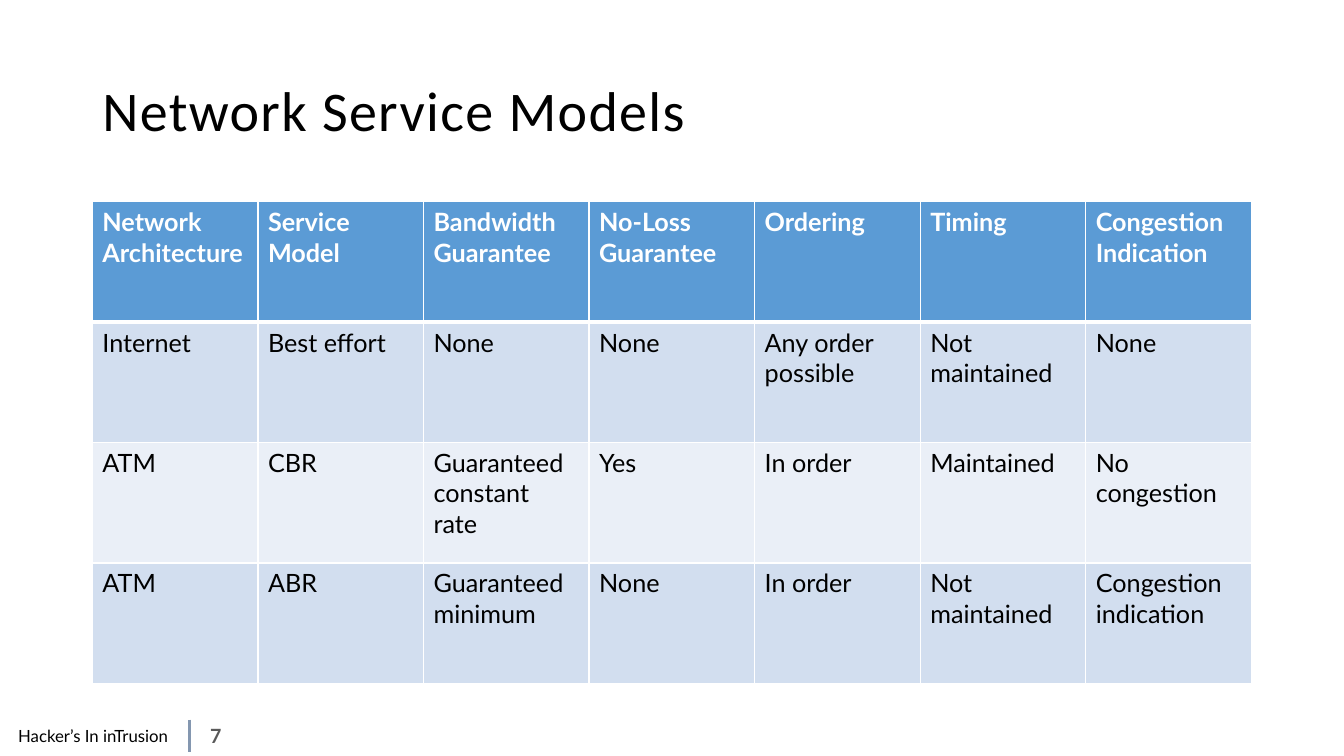
from lxml.etree import SubElement
from pptx import Presentation
from pptx.dml.color import RGBColor
from pptx.enum.shapes import MSO_CONNECTOR
from pptx.enum.text import MSO_ANCHOR, MSO_AUTO_SIZE, PP_ALIGN
from pptx.oxml.ns import qn
from pptx.util import Pt

TITLE = "Network Service Models"
ROWS = [
    ["Network\nArchitecture", "Service\nModel", "Bandwidth\nGuarantee",
     "No-Loss\nGuarantee", "Ordering", "Timing", "Congestion\nIndication"],
    ["Internet", "Best effort", "None", "None", "Any order\npossible",
     "Not\nmaintained", "None"],
    ["ATM", "CBR", "Guaranteed\nconstant rate", "Yes", "In order",
     "Maintained", "No congestion"],
    ["ATM", "ABR", "Guaranteed minimum", "None", "In order",
     "Not maintained", "Congestion indication"],
]
FOOTER = "Hacker’s In inTrusion"
PAGE = "7"

COLORS = {
    "text": "000000", "white": "FFFFFF", "header": "5B9BD5",
    "odd": "D2DEEF", "even": "EAEFF7", "page": "595959", "rule": "8497B0",
}
FORMATS = {
    "title": {"name": "Calibri", "size": Pt(40), "bold": False},
    "header": {"name": "Lato", "size": Pt(18), "bold": True},
    "body": {"name": "Lato", "size": Pt(18), "bold": False},
    "footer": {"name": "Lato", "size": Pt(12), "bold": False},
    "page": {"name": "Lato", "size": Pt(14), "bold": True},
}
LEFT, WIDTH = 66, 828
TITLE_TOP, TITLE_HEIGHT = 28.8, 104.4
TABLE_TOP, ROW_HEIGHT = 144.2, 86
FOOTER_TOP, FOOTER_HEIGHT = 513.4, 24.5


def rgb(name):
    return RGBColor.from_string(COLORS[name])


def style(tf, kind, color, align=PP_ALIGN.LEFT):
    for p in tf.paragraphs:
        p.alignment = align
        for r in p.runs:
            for key, value in FORMATS[kind].items():
                setattr(r.font, key, value)
            r.font.color.rgb = rgb(color)


def add_border(cell, side, width):
    ln = SubElement(cell._tc.get_or_add_tcPr(), qn(f"a:ln{side}"), w=str(Pt(width)))
    fill = SubElement(ln, qn("a:solidFill"))
    SubElement(fill, qn("a:srgbClr"), val=COLORS["white"])


def add_label(slide, text, left, width, kind, color):
    sp = slide.shapes.add_textbox(Pt(left), Pt(FOOTER_TOP), Pt(width), Pt(FOOTER_HEIGHT))
    tf = sp.text_frame
    tf.word_wrap = True
    tf.vertical_anchor = MSO_ANCHOR.MIDDLE
    tf.text = text
    style(tf, kind, color, PP_ALIGN.CENTER)


def add_title(slide):
    sp = slide.shapes.title
    sp.left, sp.top = Pt(LEFT), Pt(TITLE_TOP)
    sp.width, sp.height = Pt(WIDTH), Pt(TITLE_HEIGHT)
    tf = sp.text_frame
    tf.text = TITLE
    tf.auto_size = MSO_AUTO_SIZE.NONE
    tf.vertical_anchor = MSO_ANCHOR.MIDDLE
    p = tf.paragraphs[0]
    p.line_spacing = 0.9
    style(tf, "title", "text")
    p.runs[0].font._element.set("spc", "100")


def add_models(slide):
    table = slide.shapes.add_table(
        len(ROWS), len(ROWS[0]), Pt(LEFT), Pt(TABLE_TOP),
        Pt(WIDTH), Pt(ROW_HEIGHT * len(ROWS))).table
    for i, row in enumerate(ROWS):
        table.rows[i].height = Pt(ROW_HEIGHT)
        fill = "header" if i == 0 else "odd" if i % 2 else "even"
        kind, color = ("header", "white") if i == 0 else ("body", "text")
        borders = {"L": 1, "R": 1, "T": 3 if i == 1 else 1, "B": 3 if i == 0 else 1}
        for j, text in enumerate(row):
            cell = table.cell(i, j)
            cell.text = text
            style(cell.text_frame, kind, color)
            for side, width in borders.items():
                add_border(cell, side, width)
            cell.fill.solid()
            cell.fill.fore_color.rgb = rgb(fill)


def add_footer(slide):
    line = slide.shapes.add_connector(
        MSO_CONNECTOR.STRAIGHT, Pt(135.4), Pt(514), Pt(135.4), Pt(537))
    line.line.color.rgb = rgb("rule")
    line.line.width = Pt(2.25)
    SubElement(line._element.spPr, qn("a:effectLst"))
    add_label(slide, FOOTER, 0, 133.2, "footer", "text")
    add_label(slide, PAGE, 133.2, 41.8, "page", "page")


def main():
    prs = Presentation()
    prs.slide_width, prs.slide_height = Pt(960), Pt(540)
    slide = prs.slides.add_slide(prs.slide_layouts[5])
    add_footer(slide)
    add_title(slide)
    add_models(slide)
    prs.save("out.pptx")


if __name__ == "__main__":
    main()
